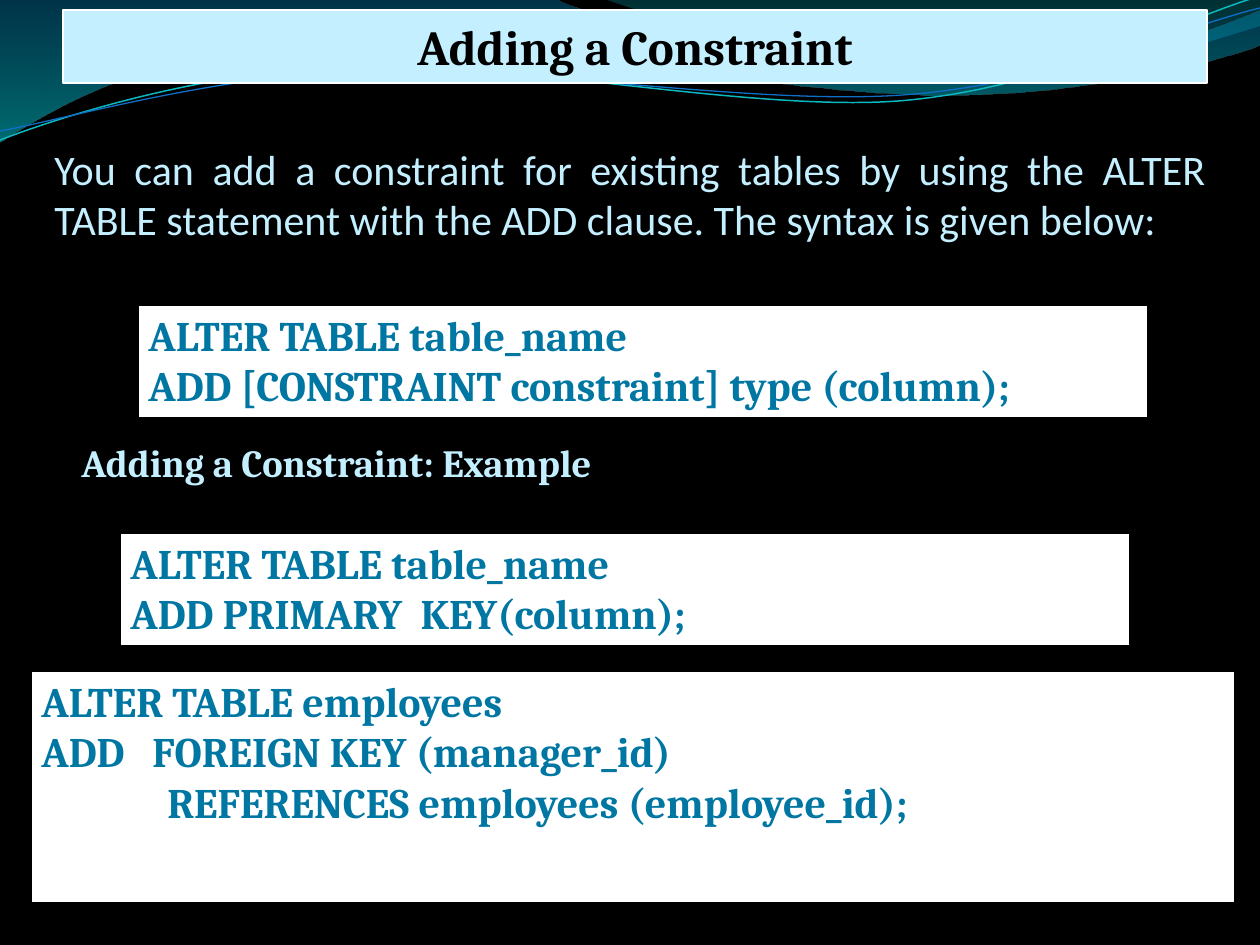
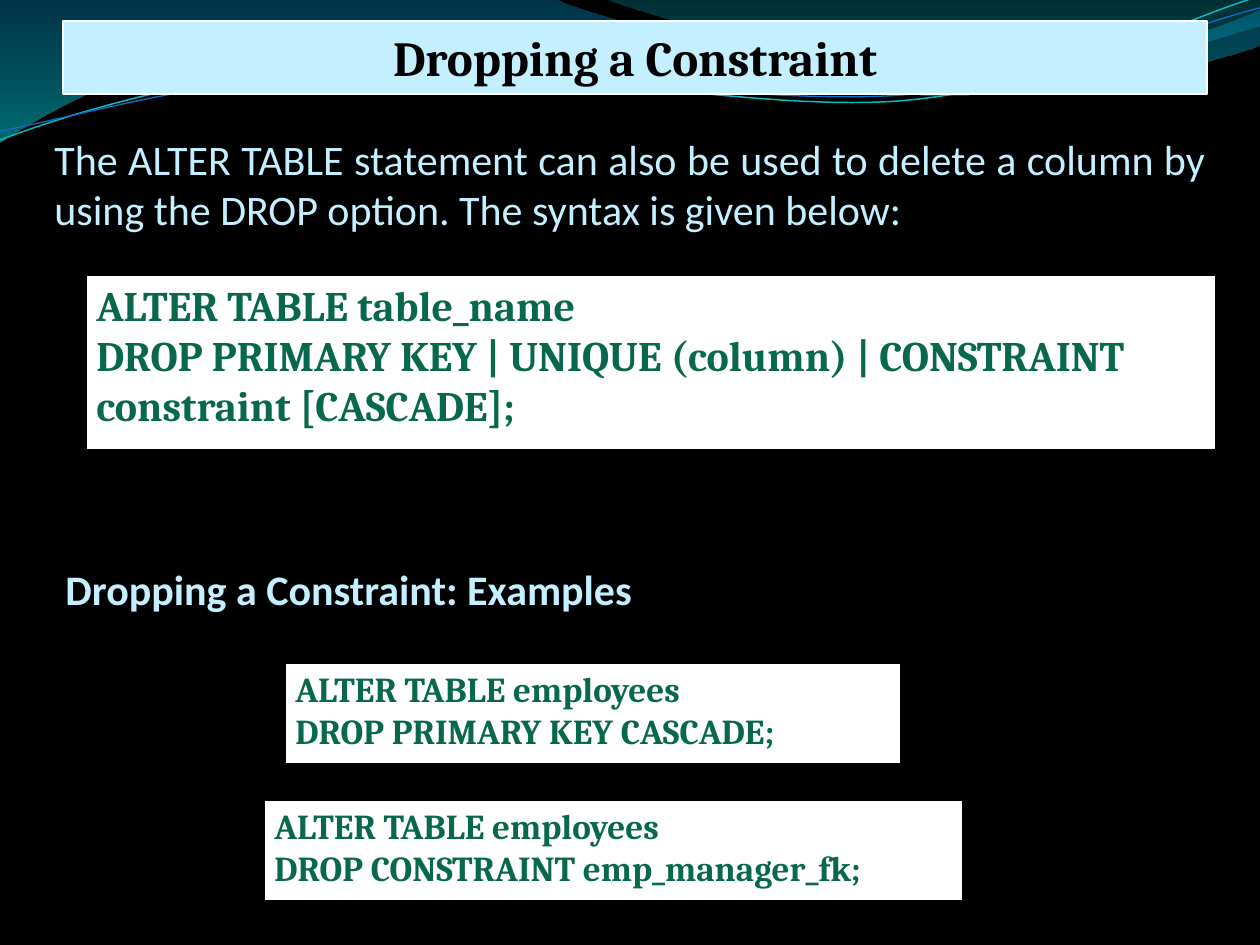
"""Build two slides about adding and dropping SQL table constraints."""
from lxml import etree
from pptx import Presentation
from pptx.dml.color import RGBColor
from pptx.enum.shapes import MSO_SHAPE
from pptx.enum.text import MSO_ANCHOR, MSO_AUTO_SIZE, PP_ALIGN
from pptx.oxml.ns import qn
from pptx.util import Pt

RECTANGLE = MSO_SHAPE.RECTANGLE
TOP, MIDDLE = MSO_ANCHOR.TOP, MSO_ANCHOR.MIDDLE
LEFT, CENTER, JUSTIFY = PP_ALIGN.LEFT, PP_ALIGN.CENTER, PP_ALIGN.JUSTIFY
NO_FIT = MSO_AUTO_SIZE.NONE

BLACK = RGBColor(0x00, 0x00, 0x00)
WHITE = RGBColor(0xFF, 0xFF, 0xFF)
PALE_BLUE = RGBColor(0xC4, 0xEF, 0xFF)
CODE_BLUE = RGBColor(0x00, 0x76, 0xA3)
CODE_GREEN = RGBColor(0x08, 0x68, 0x4E)
WAVE_BLUE = RGBColor(0x00, 0x74, 0xA1)
WAVE_CYAN = RGBColor(0x00, 0xC6, 0xCF)
CREST_TEAL = RGBColor(0x00, 0xA1, 0xA9)
CREST_BLUE = RGBColor(0x00, 0x8B, 0xBF)
STRAND_TEAL = RGBColor(0x0A, 0xB8, 0xBF)
STRAND_BLUE = RGBColor(0x0F, 0x6F, 0xC6)

HEADING_FONT, BODY_FONT = "Cambria", "Calibri"
EMU_PER_PX = 914400 / 126
TITLE_ONLY = 5

WAVE = [(0, 0), (554, -1), (600, 21, 837, 79, 955, 79),
        (1075, 79, 1207, 33, 1260, 11), (1261, 45),
        (1239, 55, 1096, 96, 940, 95), (784, 95, 481, 35, 324, 43),
        (163, 45, 58, 105, -1, 142), (0, 0)]
CREST = [(604, -1), (641, 14, 859, 78, 969, 82),
         (1079, 87, 1211, 40, 1260, 26), (1260, 0), (604, -1)]
TEAL_STRAND = [(0, 140), (60, 117, 199, 72, 349, 66),
               (498, 59, 747, 112, 898, 101), (1050, 89, 1182, 19, 1257, -3)]
BLUE_STRAND = [(0, 131), (59, 121, 207, 77, 357, 71),
               (508, 64, 752, 106, 903, 95), (1053, 84, 1186, 26, 1260, 8)]


def emu(pixels):
    """Turn pixels into EMU."""
    return round(pixels * EMU_PER_PX)


def bend(curve, step, segment):
    """Turn a straight step of a freeform into a cubic curve."""
    step.tag = qn("a:cubicBezTo")
    for index in (0, 2):
        control = etree.Element(qn("a:pt"))
        control.set("x", str(emu(segment[index]) - curve.left))
        control.set("y", str(emu(segment[index + 1]) - curve.top))
        step.insert(index // 2, control)


def add_outline(slide, outline, close):
    """Draw an outline of straight and cubic segments."""
    first, *rest = [tuple(map(emu, segment[-2:])) for segment in outline]
    builder = slide.shapes.build_freeform(*first, scale=1.0)
    builder.add_line_segments(rest, close=close)
    curve = builder.convert_to_shape()
    curve.shadow.inherit = False
    steps = list(curve.element.iter(qn("a:lnTo")))
    for step, segment in zip(steps, outline[1:]):
        if len(segment) == 6:
            bend(curve, step, segment)
    return curve


def add_wave(slide, outline, stops):
    """Draw a wave filled with a translucent vertical gradient."""
    wave = add_outline(slide, outline, True)
    wave.line.fill.background()
    wave.fill.gradient()
    wave.fill.gradient_angle = 270
    for stop, (position, color, _) in zip(wave.fill.gradient_stops, stops):
        stop.position = position
        stop.color.rgb = color
    for tint, (_, _, opacity) in zip(wave.element.iter(qn("a:srgbClr")), stops):
        etree.SubElement(tint, qn("a:alpha")).set("val", str(opacity * 1000))
    return wave


def add_strand(slide, outline, color, width):
    """Draw an open wavy line."""
    strand = add_outline(slide, outline, False)
    strand.fill.background()
    strand.line.color.rgb = color
    strand.line.width = Pt(width)
    return strand


def decorate_master(master, slide):
    """Give the master its black background and its waves."""
    master.background.fill.solid()
    master.background.fill.fore_color.rgb = BLACK
    waves = [
        add_wave(slide, WAVE, [(0, WAVE_BLUE, 45), (1, WAVE_CYAN, 55)]),
        add_wave(slide, CREST, [(0, CREST_TEAL, 30), (0.8, CREST_BLUE, 45)]),
        add_strand(slide, TEAL_STRAND, STRAND_TEAL, 0.85),
        add_strand(slide, BLUE_STRAND, STRAND_BLUE, 0.75),
    ]
    for index, wave in enumerate(waves):
        wave.element.nvSpPr.cNvPr.set("id", str(100 + index))
        master.shapes.element.insert(2 + index, wave.element)


def write(shape, lines, font, size, color, bold=True, align=LEFT, anchor=TOP):
    """Fill a shape with evenly formatted lines."""
    frame = shape.text_frame
    frame.text = "\n".join(lines)
    frame.word_wrap = True
    frame.auto_size = NO_FIT
    frame.vertical_anchor = anchor
    for paragraph in frame.paragraphs:
        paragraph.alignment = align
        for run in paragraph.runs:
            run.font.name = font
            run.font.size = Pt(size)
            run.font.bold = bold
            run.font.color.rgb = color


def paint(shape, fill, line, width):
    """Set the fill and the border of a shape."""
    shape.fill.solid()
    shape.fill.fore_color.rgb = fill
    shape.line.color.rgb = line
    shape.line.width = Pt(width)


def set_title(slide, text, top):
    """Place the slide title in its pale band."""
    title = slide.shapes.title
    title.left, title.top, title.width, title.height = map(emu, (63, top, 1144, 73))
    paint(title, PALE_BLUE, WHITE, 0.75)
    write(title, [text], HEADING_FONT, 28, BLACK, align=CENTER)


def add_label(slide, box, text, size=24, font=BODY_FONT, bold=True, align=LEFT):
    """Add pale text straight on the background."""
    label = slide.shapes.add_textbox(*map(emu, box))
    write(label, [text], font, size, PALE_BLUE, bold, align, MIDDLE)


def add_intro(slide, top, text):
    """Add the justified introduction under the title."""
    add_label(slide, (42, top, 1176, 115), text, bold=False, align=JUSTIFY)


def add_code(slide, box, lines, color, size=24):
    """Add a white panel of SQL and return its paragraphs."""
    panel = slide.shapes.add_shape(RECTANGLE, *map(emu, box))
    panel.shadow.inherit = False
    paint(panel, WHITE, BLACK, 3)
    write(panel, lines, HEADING_FONT, size, color)
    return panel.text_frame.paragraphs


def set_tab(paragraph, position):
    """Give a paragraph one left tab stop."""
    stops = etree.SubElement(paragraph._p.get_or_add_pPr(), qn("a:tabLst"))
    etree.SubElement(stops, qn("a:tab"), pos=str(emu(position)), algn="l")


def fill_adding(slide):
    """Write the slide on adding a constraint."""
    set_title(slide, "Adding a Constraint", 10)
    add_intro(slide, 136, "You can add a constraint for existing tables by using the "
              "ALTER TABLE statement with the ADD clause. The syntax is given below:")
    add_code(slide, (136, 303, 1014, 117),
             ["ALTER TABLE table_name", "ADD [CONSTRAINT constraint] type (column);"],
             CODE_BLUE)
    add_label(slide, (69, 433, 672, 59), "Adding a Constraint: Example", 22, HEADING_FONT)
    foreign_key = add_code(
        slide, (29, 669, 1208, 236),
        ["ALTER TABLE employees", "ADD\tFOREIGN KEY (manager_id)",
         "\tREFERENCES employees (employee_id);"], CODE_BLUE)
    set_tab(foreign_key[1], 111)
    set_tab(foreign_key[2], 126)
    add_code(slide, (118, 531, 1014, 117),
             ["ALTER TABLE table_name", "ADD PRIMARY  KEY(column);"], CODE_BLUE)


def fill_dropping(slide):
    """Write the slide on dropping a constraint."""
    set_title(slide, "Dropping a Constraint", 21)
    add_code(slide, (84, 273, 1134, 179),
             ["ALTER TABLE table_name",
              "DROP PRIMARY KEY | UNIQUE (column) | CONSTRAINT constraint [CASCADE];"],
             CODE_GREEN)
    add_code(slide, (283, 661, 620, 105),
             ["ALTER TABLE employees", "DROP PRIMARY KEY CASCADE;"], CODE_GREEN, 20)
    add_code(slide, (262, 798, 703, 105),
             ["ALTER TABLE employees", "DROP CONSTRAINT emp_manager_fk;"], CODE_GREEN, 20)
    add_intro(slide, 126, "The ALTER TABLE statement can also be used to delete a column "
              "by using the DROP option. The syntax is given below:")
    add_label(slide, (53, 557, 597, 63), "Dropping a Constraint: Examples")


def main():
    """Build and save the presentation."""
    deck = Presentation()
    deck.slide_width, deck.slide_height = emu(1260), emu(945)
    layout = deck.slide_layouts[TITLE_ONLY]
    adding, dropping = (deck.slides.add_slide(layout) for _ in range(2))
    decorate_master(deck.slide_master, adding)
    fill_adding(adding)
    fill_dropping(dropping)
    deck.save("out.pptx")


main()
